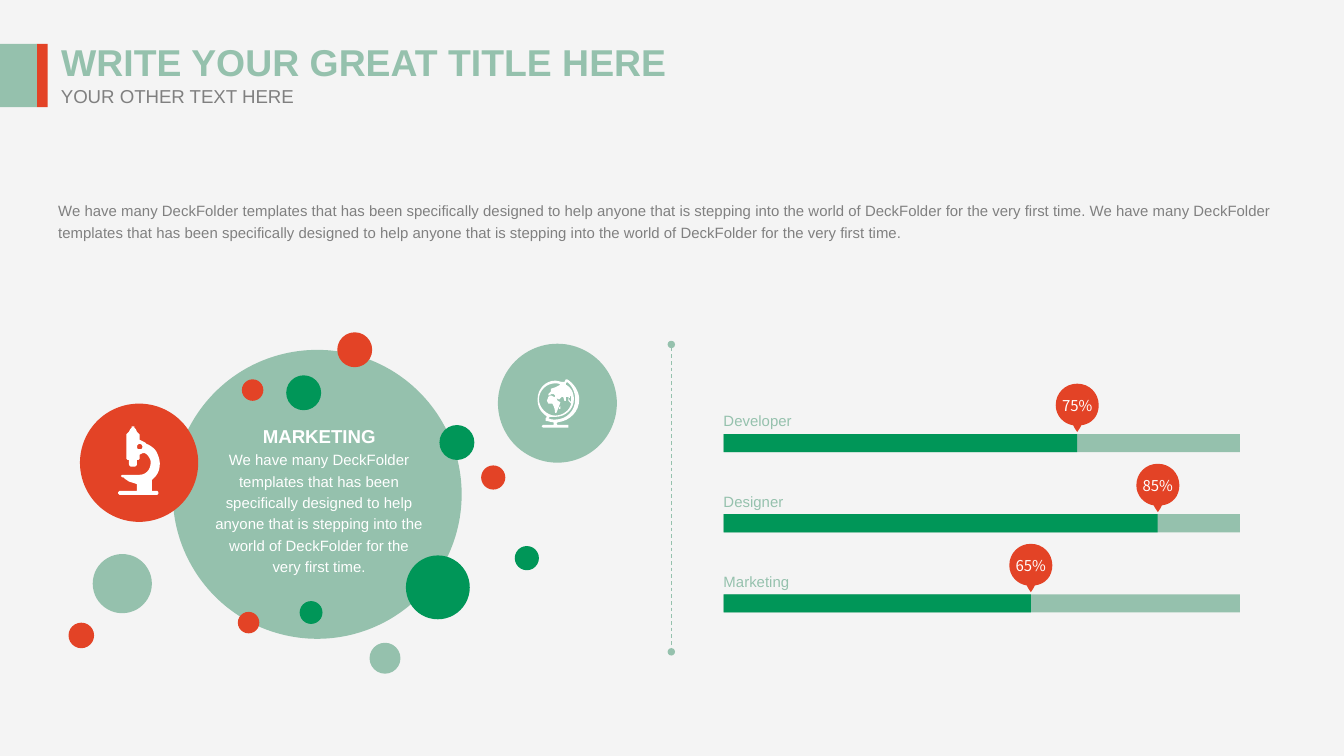
from lxml import etree
from pptx import Presentation
from pptx.dml.color import RGBColor
from pptx.enum.dml import MSO_LINE
from pptx.enum.shapes import MSO_CONNECTOR, MSO_SHAPE
from pptx.enum.text import MSO_ANCHOR, PP_ALIGN
from pptx.oxml.ns import qn
from pptx.util import Inches, Pt

SAGE = RGBColor(0x95, 0xC1, 0xAD)
GREEN = RGBColor(0x00, 0x96, 0x58)
RED = RGBColor(0xE3, 0x43, 0x26)
GREY = RGBColor(0x80, 0x80, 0x80)
WHITE = RGBColor(0xFF, 0xFF, 0xFF)
BACKGROUND = RGBColor(0xF4, 0xF4, 0xF4)

OVAL, RECTANGLE = MSO_SHAPE.OVAL, MSO_SHAPE.RECTANGLE
STRAIGHT, DASH = MSO_CONNECTOR.STRAIGHT, MSO_LINE.DASH
LEFT, CENTER = PP_ALIGN.LEFT, PP_ALIGN.CENTER
TOP, MIDDLE = MSO_ANCHOR.TOP, MSO_ANCHOR.MIDDLE

# The 16:9 slide is a square grid of 100 columns; all positions count columns.
WIDTH = Inches(10)
HEIGHT = WIDTH * 9 // 16
COLUMN = WIDTH / 100
CURVE_STEPS = 8

SENTENCE = ("We have many DeckFolder templates that has been specifically designed to help "
            "anyone that is stepping into the world of DeckFolder for the very first time.")

# Outlines in tenths of a column: a pair is a corner, six numbers are a Bézier curve.
PIN = [[(32, 16), (32, 7, 25, 0, 16, 0), (7, 0, 0, 7, 0, 16), (0, 24, 6, 30, 13, 31),
        (14, 33), (16, 36), (18, 33), (19, 31), (27, 30, 32, 24, 32, 16)]]
MICROSCOPE = [
    [(29, 48), (25, 48), (25, 40), (26, 39), (32, 34, 32, 26, 29, 20),
     (28, 17, 24, 14, 21, 13), (20, 12), (16, 10), (16, 6), (15, 5), (14, 4), (13, 2),
     (12, 1), (12, 0), (10, 0), (10, 1), (9, 2), (8, 4), (7, 5), (6, 6), (6, 24),
     (7, 25), (8, 25), (8, 28), (8, 29, 9, 30, 10, 30), (12, 30),
     (13, 30, 14, 29, 14, 28), (14, 25), (15, 25), (16, 24), (16, 21), (18, 20),
     (20, 20), (22, 21, 23, 23, 24, 25), (25, 30, 22, 36, 16, 36), (3, 36), (2, 37),
     (3, 38), (4, 38), (5, 39), (8, 41), (14, 43), (14, 48), (1, 48), (0, 49),
     (0, 50), (1, 51), (29, 51), (30, 50), (30, 49)],
    [(16, 17), (15, 17, 14, 17, 14, 15), (14, 14, 15, 13, 16, 13),
     (17, 13, 18, 14, 18, 15), (18, 17, 17, 17, 16, 17)],
]
GLOBE = [
    [(13, 1), (15, 1, 17, 2, 19, 2), (20, 2), (21, 0), (22, 0), (27, 3, 31, 9, 31, 15),
     (31, 24, 24, 31, 15, 32), (14, 33), (15, 34), (23, 34), (23, 36), (4, 36),
     (3, 35), (4, 34), (12, 34), (12, 32), (10, 32, 8, 31, 6, 31), (6, 29), (7, 28),
     (6, 27), (2, 24, 0, 20, 0, 15), (0, 7, 6, 1, 13, 1)],
    [(21, 4), (25, 6, 27, 10, 27, 15), (27, 22, 21, 28, 13, 28), (9, 28), (8, 29),
     (10, 30, 12, 30, 13, 30), (22, 30, 28, 23, 28, 15), (28, 10, 26, 5, 22, 2), (21, 3)],
    [(21, 16), (21, 13), (22, 13), (24, 14), (24, 13), (25, 12), (25, 17), (24, 16),
     (23, 14), (23, 16), (24, 17), (25, 18), (24, 23, 19, 27, 13, 27),
     (7, 27, 1, 21, 1, 15), (1, 8, 7, 3, 13, 3), (14, 3, 16, 3, 17, 4), (13, 6),
     (10, 7), (10, 9), (8, 11), (8, 12), (9, 12), (10, 11), (12, 11), (13, 12),
     (13, 13), (12, 13), (10, 12), (8, 13), (7, 16), (8, 18), (11, 18),
     (12, 20, 13, 22, 13, 25), (14, 25), (16, 20), (17, 17), (15, 16), (14, 14),
     (16, 15), (18, 13), (19, 13), (20, 16)],
    [(17, 20), (16, 21), (16, 22), (17, 22)],
]

# Left and top within the cluster, diameter, colour; from back to front.
BUBBLES = [
    (7.85, 2, 21.5, SAGE), (16.3, 3.9, 2.6, GREEN), (20.1, 0.7, 2.6, RED),
    (13, 4.2, 1.6, RED), (27.7, 7.6, 2.6, GREEN), (30.8, 10.6, 1.8, RED),
    (33.3, 16.6, 1.8, GREEN), (25.2, 17.3, 4.75, GREEN), (12.7, 21.5, 1.6, RED),
    (17.3, 20.7, 1.7, GREEN), (22.5, 23.8, 2.3, SAGE), (1.9, 17.2, 4.4, SAGE),
    (0.1, 22.3, 1.9, RED), (0.95, 6, 8.8, RED), (32.05, 1.55, 8.85, SAGE),
]
# Label, stated percentage, filled columns of the track.
SKILLS = [("Developer", "75%", 26.3), ("Designer", "85%", 32.3), ("Marketing", "65%", 22.85)]


def place(*columns):
    return [round(value * COLUMN) for value in columns]


def write(shape, *lines, size=8, color=GREY, font="Arial", bold_first=False, align=LEFT,
          spacing=1.0, wrap=False, margin=0, anchor=TOP):
    """Fill a shape with paragraphs; size holds one value or one per line."""
    frame = shape.text_frame
    frame.word_wrap = wrap
    frame.vertical_anchor = anchor
    frame.margin_left = frame.margin_right = Inches(margin)
    frame.margin_top = frame.margin_bottom = Inches(margin / 2)
    sizes = size if isinstance(size, tuple) else (size,) * len(lines)
    for index, (line, points) in enumerate(zip(lines, sizes)):
        paragraph = frame.add_paragraph() if index else frame.paragraphs[0]
        paragraph.alignment = align
        paragraph.line_spacing = spacing
        run = paragraph.add_run()
        run.text = line
        run.font.name = font
        run.font.size = Pt(points)
        run.font.bold = bold_first and index == 0
        run.font.color.rgb = color


def add_text(slide, box, *lines, **style):
    write(slide.shapes.add_textbox(*place(*box)), *lines, **style)


def paint(shape, color):
    shape.shadow.inherit = False
    shape.fill.solid()
    shape.fill.fore_color.rgb = color
    shape.line.fill.background()


def add_block(slide, kind, box, color):
    paint(slide.shapes.add_shape(kind, *place(*box)), color)


def flatten(contour):
    """Turn corners and Bézier curves into a list of points."""
    points = []
    for item in contour:
        if len(item) == 2:
            points.append(item)
            continue
        start, controls = points[-1], (item[:2], item[2:4], item[4:])
        for step in range(1, CURVE_STEPS + 1):
            t = step / CURVE_STEPS
            weights = ((1 - t) ** 3, 3 * t * (1 - t) ** 2, 3 * t * t * (1 - t), t ** 3)
            points.append(tuple(sum(weight * point[axis] for weight, point
                                    in zip(weights, (start, *controls))) for axis in (0, 1)))
    return points


def add_outline(slide, left, top, contours, color):
    builder = None
    for contour in contours:
        points = [place(left + x / 10, top + y / 10) for x, y in flatten(contour)]
        if builder is None:
            builder = slide.shapes.build_freeform(*points[0])
        else:
            builder.move_to(*points[0])
        builder.add_line_segments(points[1:], close=True)
    paint(builder.convert_to_shape(), color)


def add_header(slide, top):
    title = slide.shapes.title
    title.left, title.top, title.width, title.height = place(3.55, top - 0.85, 47.3, 4.3)
    write(title, "WRITE YOUR GREAT TITLE HERE", size=20, color=SAGE, bold_first=True, margin=0.1)
    add_text(slide, (3.55, top + 2.55, 19.4, 2.7), "YOUR OTHER TEXT HERE", size=10, margin=0.1)
    add_block(slide, RECTANGLE, (2.75, top, 0.8, 4.7), RED)
    add_block(slide, RECTANGLE, (0, top, 2.75, 4.7), SAGE)


def add_bubble_cluster(slide, left, top):
    for x, y, diameter, color in BUBBLES:
        add_block(slide, OVAL, (left + x, top + y, diameter, diameter), color)
    add_outline(slide, left + 3.8, top + 7.7, MICROSCOPE, WHITE)
    add_outline(slide, left + 35, top + 4.2, GLOBE, WHITE)
    add_text(slide, (left + 10.9, top + 7.25, 15.7, 11.6), "MARKETING", SENTENCE, size=(10, 8),
             color=WHITE, bold_first=True, align=CENTER, spacing=1.2, wrap=True)


def add_divider(slide, x, top, bottom):
    line = slide.shapes.add_connector(STRAIGHT, *place(x, top, x, bottom))
    line.line.color.rgb = SAGE
    line.line.width = Pt(0.5)
    line.line.dash_style = DASH
    outline = line.line._get_or_add_ln()
    for end in ("a:headEnd", "a:tailEnd"):
        etree.SubElement(outline, qn(end), type="oval", w="sm", len="sm")
    etree.SubElement(line._element.spPr, qn("a:effectLst"))


def add_skill_bars(slide, left, top, width, pitch):
    for index, (label, percentage, filled) in enumerate(SKILLS):
        y = top + index * pitch
        tip = left + filled
        add_block(slide, RECTANGLE, (left, y, width, 1.35), SAGE)
        add_block(slide, RECTANGLE, (left, y, filled, 1.35), GREEN)
        add_outline(slide, tip - 1.6, y - 3.75, PIN, RED)
        add_text(slide, (tip - 1.6, y - 3.75, 3.2, 3.2), percentage, color=WHITE,
                 font="Noto Sans CJK SC", align=CENTER, anchor=MIDDLE)
        add_text(slide, (left - 1, y - 2.13, 7.4, 2.3), label, color=SAGE, margin=0.1)


def main():
    presentation = Presentation()
    presentation.slide_width, presentation.slide_height = WIDTH, HEIGHT
    slide = presentation.slides.add_slide(presentation.slide_layouts[5])
    slide.background.fill.solid()
    slide.background.fill.fore_color.rgb = BACKGROUND
    add_header(slide, 3.27)
    add_text(slide, (4.33, 14.75, 91.3, 3.2), f"{SENTENCE} {SENTENCE}", spacing=1.2, wrap=True)
    add_bubble_cluster(slide, 5, 24.03)
    add_divider(slide, 49.95, 25.63, 48.5)
    add_skill_bars(slide, 53.85, 32.3, 38.4, 5.96)
    presentation.save("out.pptx")


if __name__ == "__main__":
    main()
